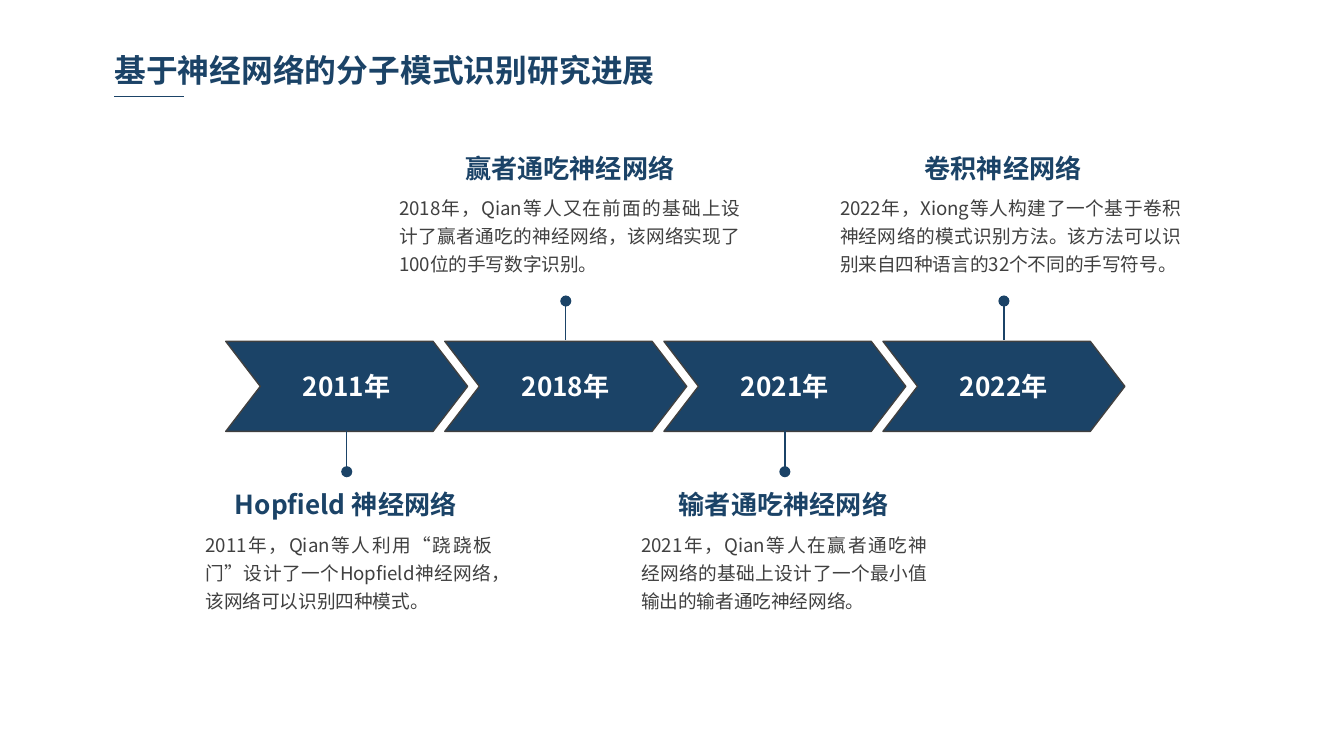
from lxml.etree import SubElement
from pptx import Presentation
from pptx.dml.color import RGBColor
from pptx.enum.shapes import MSO_CONNECTOR, MSO_SHAPE
from pptx.enum.text import MSO_ANCHOR, MSO_AUTO_SIZE, PP_ALIGN
from pptx.oxml.ns import qn
from pptx.util import Inches, Pt

FONT = "Noto Sans CJK SC"
NAVY, GRAY, WHITE = "1B4367", "404040", "FFFFFF"
TITLE = "基于神经网络的分子模式识别研究进展"
MILESTONES = [
    {"year": "2011年", "name": "Hopfield 神经网络 ", "name_left": 1.64, "name_w": 1.91, "body_left": 1.46,
     "body": "2011年，Qian等人利用“跷跷板门”设计了一个Hopfield神经网络，该网络可以识别四种模式。"},
    {"year": "2018年", "name": "赢者通吃神经网络", "name_left": 3.38, "name_w": 1.72, "body_left": 2.9,
     "body": "2018年，Qian等人又在前面的基础上设计了赢者通吃的神经网络，该网络实现了100位的手写数字识别。"},
    {"year": "2021年", "name": "输者通吃神经网络", "name_left": 4.97, "name_w": 1.72, "body_left": 4.7,
     "body": "2021年，Qian等人在赢者通吃神经网络的基础上设计了一个最小值输出的输者通吃神经网络。"},
    {"year": "2022年", "name": "卷积神经网络", "name_left": 6.8, "name_w": 1.33, "body_left": 6.18,
     "body": "2022年，Xiong等人构建了一个基于卷积神经网络的模式识别方法。该方法可以识别来自四种语言的32个不同的手写符号。"},
]
FIRST_LEFT, STEP = 1.68, 1.63
ARROW_TOP, ARROW_W, ARROW_H = 2.54, 1.8, 0.67
ABOVE = {"stem": (2.53, 2.24), "name_top": 1.09, "body_top": 1.38, "body_w": 2.68}
BELOW = {"stem": (3.21, 3.51), "name_top": 3.59, "body_top": 3.89, "body_w": 2.27}


def color(value):
    return RGBColor.from_string(value)


def write(sp, text, size, fill, bold=False, align=PP_ALIGN.LEFT, spacing=None, wrap=True):
    tf = sp.text_frame
    tf.word_wrap = wrap
    tf.margin_left = tf.margin_right = Inches(0.07)
    tf.margin_top = tf.margin_bottom = Inches(0.04)
    p = tf.paragraphs[0]
    p.text = text
    p.alignment = align
    if spacing:
        p.line_spacing = Pt(spacing)
    font = p.runs[0].font
    font.name, font.size, font.bold = FONT, Pt(size), bold
    font.color.rgb = color(fill)
    SubElement(p.runs[0]._r.get_or_add_rPr(), qn("a:ea"), typeface=FONT)


def add_text(s, box, *args, **kwargs):
    sp = s.shapes.add_textbox(*map(Inches, box))
    write(sp, *args, **kwargs)
    sp.text_frame.auto_size = MSO_AUTO_SIZE.SHAPE_TO_FIT_TEXT


def add_line(s, x1, y1, x2, y2, dot=False):
    cx = s.shapes.add_connector(MSO_CONNECTOR.STRAIGHT, *map(Inches, (x1, y1, x2, y2)))
    cx.line.color.rgb = color(NAVY)
    cx.line.width = Pt(0.75)
    if dot:
        SubElement(cx.line._get_or_add_ln(), qn("a:tailEnd"), type="oval")
    SubElement(cx._element.spPr, qn("a:effectLst"))


def add_arrow(s, left, year):
    sp = s.shapes.add_shape(MSO_SHAPE.CHEVRON, *map(Inches, (left, ARROW_TOP, ARROW_W, ARROW_H)))
    sp.adjustments[0] = 0.384
    sp.shadow.inherit = False
    sp.fill.solid()
    sp.fill.fore_color.rgb = color(NAVY)
    sp.line.color.rgb = color(GRAY)
    sp.line.width = Pt(0.75)
    write(sp, year, 14, WHITE, bold=True, align=PP_ALIGN.CENTER)
    sp.text_frame.vertical_anchor = MSO_ANCHOR.MIDDLE


def add_caption(s, item, side):
    add_text(s, (item["name_left"], side["name_top"], item["name_w"], 0.31),
             item["name"], 14, NAVY, bold=True, align=PP_ALIGN.CENTER, wrap=False)
    add_text(s, (item["body_left"], side["body_top"], side["body_w"], 0.69),
             item["body"], 10, GRAY, align=PP_ALIGN.JUSTIFY, spacing=15)


def main():
    prs = Presentation()
    prs.slide_width = Inches(10)
    prs.slide_height = prs.slide_width * 9 // 16
    s = prs.slides.add_slide(prs.slide_layouts[6])
    add_text(s, (0.78, 0.34, 4.71, 0.36), TITLE, 17, NAVY, bold=True)

    lefts = [FIRST_LEFT + i * STEP for i in range(len(MILESTONES))]
    sides = [ABOVE if i % 2 else BELOW for i in range(len(MILESTONES))]
    for left, item in zip(lefts, MILESTONES):
        add_arrow(s, left, item["year"])
    for left, side in zip(lefts, sides):
        center = left + ARROW_W / 2
        start, end = side["stem"]
        add_line(s, center, start, center, end, dot=True)
    for item, side in zip(MILESTONES, sides):
        add_caption(s, item, side)

    add_line(s, 0.85, 0.72, 1.37, 0.72)
    prs.save("out.pptx")


if __name__ == "__main__":
    main()
